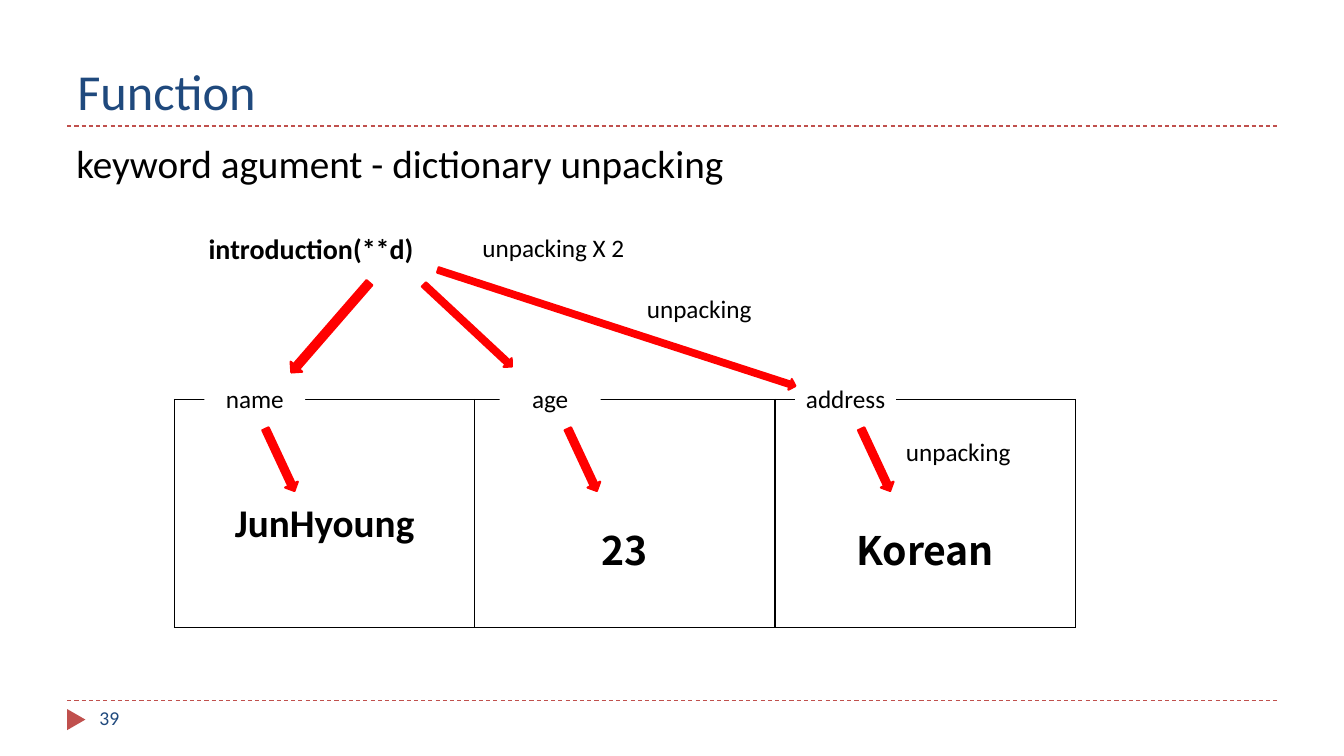
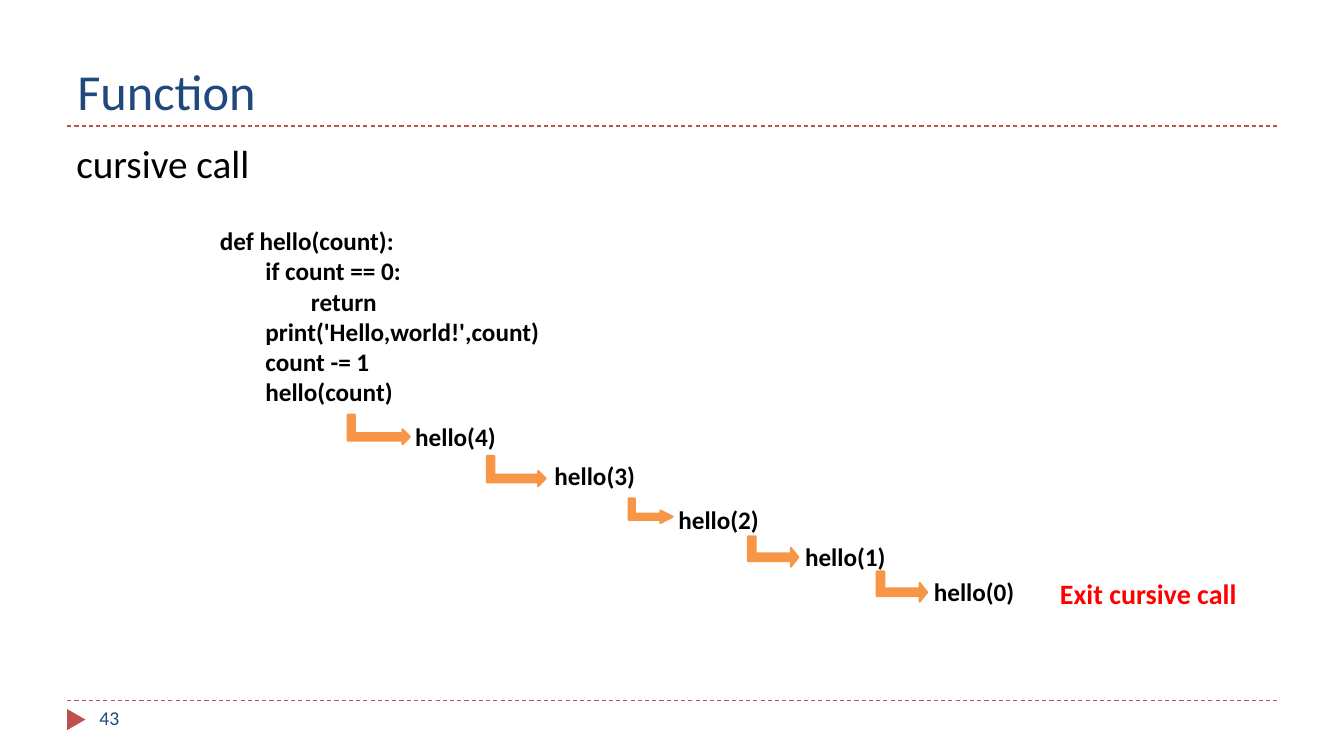
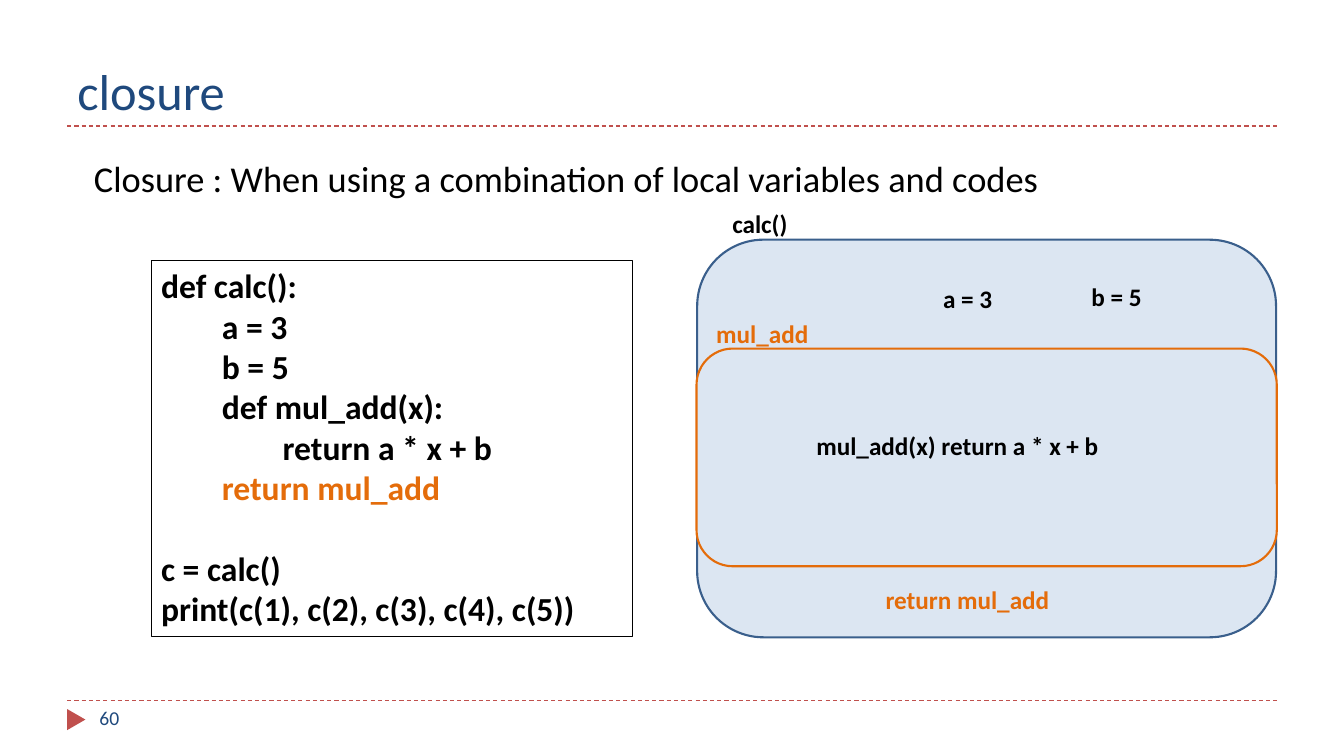
from pptx import Presentation
from pptx.dml.color import RGBColor
from pptx.enum.dml import MSO_LINE
from pptx.enum.shapes import MSO_CONNECTOR, MSO_SHAPE
from pptx.enum.text import MSO_ANCHOR, MSO_AUTO_SIZE, PP_ALIGN
from pptx.oxml.ns import qn
from pptx.util import Pt
from lxml import etree

COLORS = {
    "title": "1F497D",
    "rule": "C0504D",
    "bullet": "4F81BD",
    "text": "000000",
    "paper": "FFFFFF",
    "red": "FF0000",
    "step": "F79646",
    "inner": "E46C0A",
    "scope": "DCE6F2",
    "scope_edge": "3A5F8C",
}
FONT = "Calibri"
LEFT, RIGHT = 48, 912
INDENT = " " * 8


def rgb(name):
    return RGBColor.from_string(COLORS[name])


def add_xml(parent, tag, **attributes):
    return etree.SubElement(parent, qn(tag), attributes)


def style(paragraph, size, color="text", bold=False, font=FONT, align=PP_ALIGN.LEFT):
    paragraph.alignment = align
    paragraph.font.name = font
    paragraph.font.size = Pt(size)
    paragraph.font.bold = bold
    paragraph.font.color.rgb = rgb(color)


def write(frame, lines, size, **look):
    frame.word_wrap = True
    frame.text = "\n".join(lines)
    for paragraph in frame.paragraphs:
        style(paragraph, size, **look)


def add_text(slide, box, lines, size=18, **look):
    frame = slide.shapes.add_textbox(*map(Pt, box)).text_frame
    write(frame, lines, size, **look)
    return frame


def add_figure(slide, kind, box, fill=None, line=None, weight=1.5, rotation=0):
    figure = slide.shapes.add_shape(kind, *map(Pt, box))
    figure.shadow.inherit = False
    figure.rotation = rotation
    if fill:
        figure.fill.solid()
        figure.fill.fore_color.rgb = rgb(fill)
    else:
        figure.fill.background()
    if line:
        figure.line.color.rgb = rgb(line)
        figure.line.width = Pt(weight)
    else:
        figure.line.fill.background()
    return figure


def add_rule(slide, y):
    rule = slide.shapes.add_connector(
        MSO_CONNECTOR.STRAIGHT, Pt(LEFT), Pt(y), Pt(RIGHT), Pt(y))
    rule.line.color.rgb = rgb("rule")
    rule.line.width = Pt(0.75)
    rule.line.dash_style = MSO_LINE.DASH
    add_xml(rule._element.spPr, "a:effectLst")


def add_slide(deck, title, number):
    """Start a slide with the shared title, rules and page number."""
    slide = deck.slides.add_slide(deck.slide_layouts[5])
    for y in (500.4, 90):
        add_rule(slide, y)
    add_figure(slide, MSO_SHAPE.ISOSCELES_TRIANGLE, (47, 507.5, 15, 13),
               fill="rule", rotation=90)
    heading = slide.shapes.title
    heading.left, heading.top = Pt(LEFT), Pt(12)
    heading.width, heading.height = Pt(RIGHT - LEFT), Pt(78)
    frame = heading.text_frame
    write(frame, [title], 36, color="title")
    frame.vertical_anchor = MSO_ANCHOR.BOTTOM
    frame.auto_size = MSO_AUTO_SIZE.NONE
    add_text(slide, (64, 500.4, 208, 29), [str(number)], 14, color="title")
    return slide


def add_bullet(slide, text, size=28, left=47.5, top=96):
    frame = slide.shapes.add_textbox(Pt(left), Pt(top), Pt(864), Pt(48)).text_frame
    properties = frame.paragraphs[0]._p.get_or_add_pPr()
    properties.set("marL", str(Pt(21.6)))
    properties.set("indent", str(-Pt(21.6)))
    tint = add_xml(properties, "a:buClr")
    add_xml(tint, "a:srgbClr", val=COLORS["bullet"])
    add_xml(properties, "a:buSzPct", val="76000")
    add_xml(properties, "a:buChar", char="▶")
    write(frame, [text], size)


def add_border(cell):
    properties = cell._tc.get_or_add_tcPr()
    for side in ("a:lnL", "a:lnR", "a:lnT", "a:lnB"):
        edge = add_xml(properties, side, w=str(Pt(1)))
        fill = add_xml(edge, "a:solidFill")
        add_xml(fill, "a:srgbClr", val=COLORS["text"])


def add_value_table(slide, values):
    """Draw one row of cells from (text, font, space above the text)."""
    table = slide.shapes.add_table(
        1, len(values), Pt(124.6), Pt(285.3), Pt(643.5), Pt(163)).table
    table.first_row = table.horz_banding = False
    for cell, (value, font, space) in zip(table.rows[0].cells, values):
        add_border(cell)
        cell.fill.solid()
        cell.fill.fore_color.rgb = rgb("paper")
        cell.margin_top = Pt(space)
        write(cell.text_frame, [value], 28, bold=True, font=font,
              align=PP_ALIGN.CENTER)


def add_key(slide, left, key):
    label = add_figure(slide, MSO_SHAPE.RECTANGLE, (left, 270, 72, 28.8), fill="paper")
    label.text_frame.margin_left = label.text_frame.margin_right = 0
    write(label.text_frame, [key], 18, align=PP_ALIGN.CENTER)


def add_unpacking_arrow(slide, box, rotation):
    add_figure(slide, MSO_SHAPE.DOWN_ARROW, box, fill="red", line="red",
               rotation=rotation)


def add_call_arrow(slide, box, adjustments):
    arrow = add_figure(slide, MSO_SHAPE.BENT_UP_ARROW, box, fill="step", line="step",
                       rotation=90)
    for index, value in enumerate(adjustments):
        arrow.adjustments[index] = value


def build_unpacking(deck):
    slide = add_slide(deck, "Function", 39)
    add_bullet(slide, "keyword agument - dictionary unpacking")
    add_value_table(slide, [
        ("JunHyoung", FONT, 72),
        ("23", "Noto Sans CJK KR", 86),
        ("Korean", "Noto Sans CJK KR", 86),
    ])
    add_text(slide, (89.5, 162, 265.5, 31.5), ["introduction(**d)"], 20, bold=True,
             align=PP_ALIGN.CENTER)
    for column, key in enumerate(("name", "age", "address")):
        add_key(slide, 146 + 211 * column, key)
    for box, rotation in (
        ((230.5, 191.5, 11, 85), 41),
        ((330, 189.5, 8.5, 86), 313),
        ((436.5, 100, 8, 268.5), 288),
    ):
        add_unpacking_arrow(slide, box, rotation)
    for left in (195, 411, 620.5):
        add_unpacking_arrow(slide, (left, 304, 10, 49), 335)
    for left, top, note in (
        (337.5, 162.5, "unpacking X 2"),
        (455, 206, "unpacking"),
        (640, 308, "unpacking"),
    ):
        add_text(slide, (left, top, 216, 28.8), [note])


def build_recursion(deck):
    slide = add_slide(deck, "Function", 43)
    add_bullet(slide, "cursive call")
    add_text(slide, (150, 157.5, 270, 138), [
        "def hello(count):",
        INDENT + "if count == 0:",
        INDENT * 2 + "return",
        INDENT + "print('Hello,world!',count)",
        INDENT + "count -= 1",
        INDENT + "hello(count)",
    ], bold=True)
    even, long_head, wide_head = (0.25,) * 3, (0.25, 0.25, 0.5), (0.25, 0.31, 0.25)
    calls = [
        (289.5, 297.5, (260, 284.5, 21, 44.5), even),
        (389, 325.5, (358, 315.5, 21.5, 42), even),
        (477.5, 356.5, (456, 349, 17.5, 31.5), long_head),
        (568, 383, (541.5, 376, 21.5, 36), wide_head),
        (660, 408, (633.5, 401, 21.5, 36), wide_head),
    ]
    for step, (left, top, arrow_box, adjustments) in enumerate(calls):
        add_call_arrow(slide, arrow_box, adjustments)
        add_text(slide, (left, top, 80, 28.8), [f"hello({4 - step})"], bold=True)
    add_text(slide, (750, 408, 175, 31.5), ["Exit cursive call"], 20, color="red",
             bold=True)


def build_closure(deck):
    slide = add_slide(deck, "closure", 60)
    add_figure(slide, MSO_SHAPE.ROUNDED_RECTANGLE, (498, 171.2, 413.5, 284),
               fill="scope", line="scope_edge")
    add_figure(slide, MSO_SHAPE.ROUNDED_RECTANGLE, (497.5, 249, 414.5, 155.5),
               fill="scope", line="inner")
    add_bullet(slide, "Closure : When using a combination of local variables and codes",
               size=26, left=60, top=108)
    code = add_figure(slide, MSO_SHAPE.RECTANGLE, (108, 186, 343.5, 269),
                      line="text", weight=0.75).text_frame
    code.vertical_anchor = MSO_ANCHOR.TOP
    write(code, [
        "def calc():",
        INDENT + "a = 3",
        INDENT + "b = 5",
        INDENT + "def mul_add(x):",
        INDENT * 2 + "return a * x + b",
        INDENT + "return mul_add",
        "c = calc()",
        "print(c(1), c(2), c(3), c(4), c(5))",
    ], 24, bold=True)
    returned, call = code.paragraphs[5:7]
    returned.font.color.rgb = rgb("inner")
    call.space_before = Pt(29)
    for left, top, width, label, color in (
        (576, 304, 320, "mul_add(x) return a * x + b", "text"),
        (504.5, 224, 96, "mul_add", "inner"),
        (666.5, 198.5, 60, "a = 3", "text"),
        (772.5, 197.5, 73, "b = 5", "text"),
        (516, 145, 78, "calc()", "text"),
        (625.5, 413.5, 166, "return mul_add", "inner"),
    ):
        add_text(slide, (left, top, width, 28.8), [label], color=color, bold=True)


def main():
    deck = Presentation()
    deck.slide_width, deck.slide_height = Pt(960), Pt(540)
    build_unpacking(deck)
    build_recursion(deck)
    build_closure(deck)
    deck.save("out.pptx")


if __name__ == "__main__":
    main()
